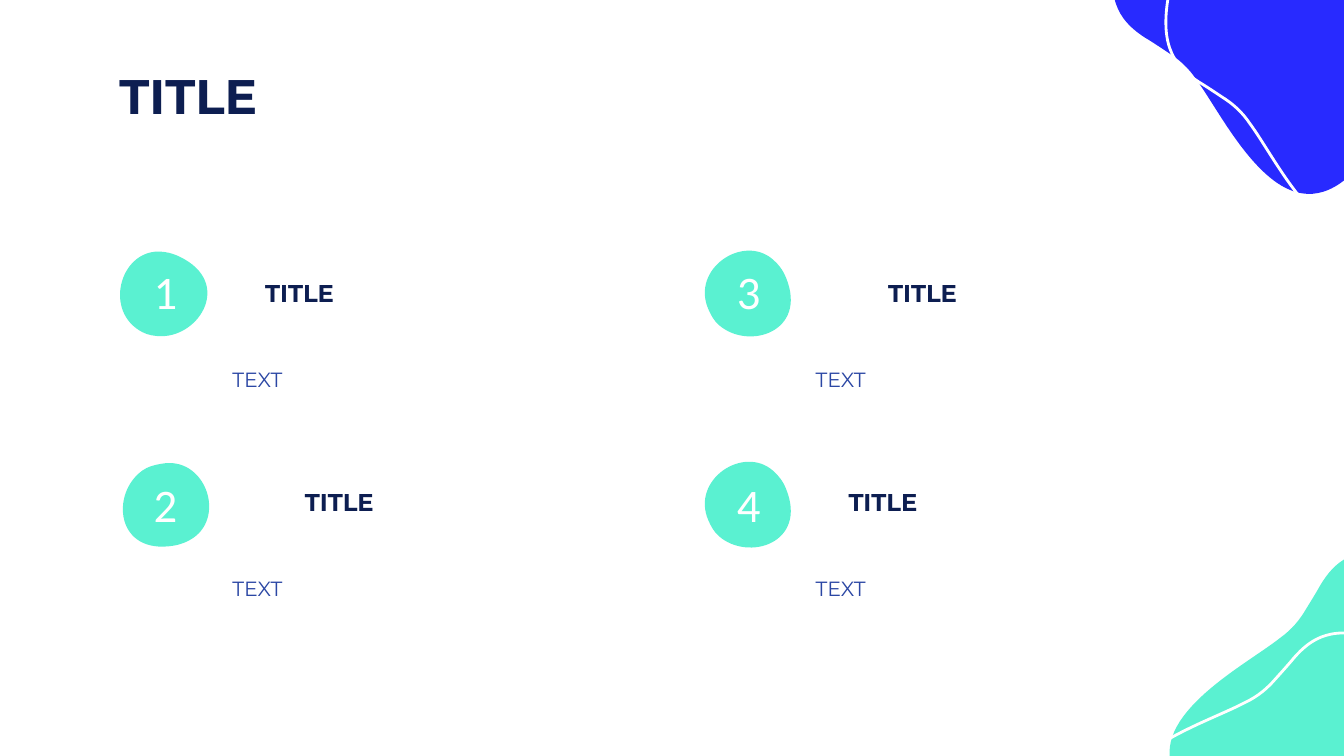
import math

import pptx
import pptx.dml.color
import pptx.enum.text
import pptx.oxml
import pptx.oxml.ns
import pptx.util

Pt = pptx.util.Pt
qn = pptx.oxml.ns.qn
ALIGN = pptx.enum.text.PP_ALIGN
ANCHOR = pptx.enum.text.MSO_ANCHOR

NAVY, INDIGO, BLUE, MINT, WHITE = "0D1E51", "2B47A4", "282AFF", "5AF1D1", "FFFFFF"

TITLE_FONT = {"name": "Montserrat", "size": Pt(26), "bold": True}
CARD_FONT = {"name": "Montserrat", "size": Pt(13), "bold": True}
BODY_FONT = {"name": "Montserrat", "size": Pt(11)}
NUMBER_FONT = {"name": "Calibri", "size": Pt(25)}

# Outlines on a grid of 0.72 pt: box, angle at which the points are given,
# start point, cubic curves
GRID = 0.72
WAVE = ((796, -79, 271, 183), 214, (950, 136), [
    (969, 149, 991, 149, 1015, 119), (1072, 49, 1017, -34, 989, -58),
    (985, -62, 981, -65, 977, -67), (919, -106, 840, -94, 829, -34),
    (823, 3, 835, 17, 852, 28), (857, 31, 863, 35, 869, 39),
    (877, 44, 884, 50, 890, 59), (904, 78, 924, 118, 950, 136)])
RING = ((953, 110, 370, 318), 164.7, (1207, 415), [
    (1163, 427, 1111, 411, 1103, 361), (1100, 347, 1087, 340, 1075, 343),
    (1028, 354, 978, 329, 957, 286), (944, 259, 944, 224, 960, 198),
    (971, 178, 990, 164, 1010, 152), (1038, 136, 1067, 124, 1098, 115),
    (1112, 112, 1126, 109, 1140, 106), (1182, 99, 1229, 99, 1264, 124),
    (1283, 137, 1298, 156, 1305, 178), (1307, 184, 1308, 190, 1309, 196),
    (1314, 225, 1307, 255, 1291, 280), (1285, 288, 1278, 297, 1275, 307),
    (1271, 324, 1277, 341, 1270, 358), (1264, 375, 1252, 391, 1237, 401),
    (1228, 408, 1218, 412, 1207, 415)])
DOT = ((940, 160, 18, 18), 60.8, (956, 164), [
    (958, 169, 957, 174, 953, 176), (948, 179, 943, 177, 941, 173),
    (938, 169, 940, 163, 944, 161), (948, 159, 954, 160, 956, 164)])
SMALL_DOT = ((920, 145, 14, 12), 60.8, (931, 147), [
    (934, 151, 930, 157, 924, 155), (923, 155, 922, 154, 921, 153),
    (919, 150, 920, 146, 923, 144), (926, 143, 930, 144, 931, 147)])
PEBBLE_1 = ((77, 187, 96, 63), 0, (118, 187), [
    (89, 187, 77, 232, 106, 247), (110, 249.1, 115, 250, 120, 250),
    (149, 250, 173, 210, 134, 191), (128.2, 188.2, 123, 187, 118, 187)])
PEBBLE_2 = ((72, 347, 96, 63), 144.3, (144, 400), [
    (168, 383, 152, 339, 120, 345), (114, 346.1, 110, 347.2, 106, 350),
    (82, 367, 86, 413, 129, 406), (135, 405, 140, 402.8, 144, 400)])
PEBBLE_3 = ((511, 190, 97, 63), 41.2, (575, 193), [
    (553, 174, 514, 200, 527, 230), (529, 234.6, 531.2, 238.7, 535, 242),
    (557, 261, 601, 247, 585, 207), (582.6, 201, 579.2, 196.6, 575, 193)])


def color(value):
    return pptx.dml.color.RGBColor.from_string(value)


def set_all(obj, values):
    for name, value in values.items():
        setattr(obj, name, value)


def upright_points(outline):
    """Turn the points back to angle 0, in EMU from the box corner."""
    (left, top, width, height), angle, start, curves = outline
    cos, sin = math.cos(math.radians(angle)), math.sin(math.radians(angle))
    points = [start] + [c[i:i + 2] for c in curves for i in (0, 2, 4)]
    result = []
    for x, y in points:
        dx, dy = x - left - width / 2, y - top - height / 2
        result.append((Pt(GRID * (width / 2 + dx * cos + dy * sin)),
                       Pt(GRID * (height / 2 - dx * sin + dy * cos))))
    return result


def add_blob(s, outline, left, top, turn, fill=None):
    """Curved outline in a turned box: filled, or as a white line."""
    points = upright_points(outline)
    builder = s.shapes.build_freeform(*points[0])
    builder.add_line_segments(points[1:], close=True)
    sp = builder.convert_to_shape()
    width, height = (Pt(GRID * v) for v in outline[0][2:])
    set_all(sp, {"left": Pt(left), "top": Pt(top), "width": width,
                 "height": height, "rotation": turn})

    # Each three line segments become one cubic curve
    geom = next(sp._element.iter(qn("a:path")))
    geom.set("w", str(width))
    geom.set("h", str(height))
    for pt, (x, y) in zip(list(geom.iter(qn("a:pt"))), points):
        pt.set("x", str(x))
        pt.set("y", str(y))
    lines = geom.findall(qn("a:lnTo"))
    for i in range(0, len(lines), 3):
        curve = geom.makeelement(qn("a:cubicBezTo"))
        lines[i].addprevious(curve)
        for line in lines[i:i + 3]:
            curve.append(line[0])
            geom.remove(line)

    sp.shadow.inherit = False
    if fill:
        sp.fill.solid()
        sp.fill.fore_color.rgb = color(fill)
        sp.line.fill.background()
    else:
        sp.fill.background()
        sp.line.color.rgb = color(WHITE)
        sp.line.width = Pt(1.5)


def add_text(s, box, text, font, rgb, frame=None, para=None):
    sp = s.shapes.add_textbox(*(Pt(v) for v in box))
    tf = sp.text_frame
    insets = {f"margin_{side}": Pt(7.2) for side in ("left", "top", "right", "bottom")}
    set_all(tf, {"word_wrap": True, **insets, **(frame or {})})
    p = tf.paragraphs[0]
    set_all(p, para or {})
    r = p.add_run()
    r.text = text
    set_all(r.font, font)
    r.font.color.rgb = color(rgb)


def add_corner(s, left, top, parts):
    """Decoration whose parts are placed from the corner of its wave."""
    for outline, dx, dy, turn, fill in parts:
        add_blob(s, outline, left + dx, top + dy, turn, fill)


def add_card(s, box, number, pebble, shift, right_inset, drop):
    """Numbered badge at the left, heading above the text."""
    left, top, width, height = box
    row = 45.36
    add_text(s, (left, top, width, row), "TITLE", CARD_FONT, NAVY,
             {"vertical_anchor": ANCHOR.MIDDLE, "margin_right": Pt(right_inset)},
             {"alignment": ALIGN.CENTER})
    add_text(s, (left, top + height - row, width, row), "TEXT", BODY_FONT, INDIGO,
             para={"space_after": Pt(16)})
    add_blob(s, pebble, left + shift[0], top + shift[1], pebble[1], MINT)
    add_text(s, (left - 55, top + drop, 52.56, 35.28), number, NUMBER_FONT, WHITE,
             {"vertical_anchor": ANCHOR.MIDDLE}, {"alignment": ALIGN.CENTER})


def main():
    prs = pptx.Presentation()
    prs.slide_width, prs.slide_height = Pt(720), Pt(405)
    s = prs.slides.add_slide(prs.slide_layouts[6])

    # Corner decoration
    add_corner(s, 573.12, -56.88, [
        (WAVE, 0, 0, 214, BLUE), (DOT, 103.68, 172.08, 60.8, WHITE),
        (SMALL_DOT, 89.28, 161.28, 60.8, WHITE), (WAVE, 28.8, 23.76, 214, None),
        (RING, 113.04, 136.08, 164.7, None)])
    add_corner(s, 622.8, 304.56, [
        (WAVE, 0, 0, 302.1, MINT), (SMALL_DOT, 83.52, -61.2, 156.8, WHITE),
        (SMALL_DOT, -15.84, 83.52, 156.8, WHITE), (WAVE, -24.48, 40.32, 312.4, None)])

    # Slide title
    add_text(s, (56.88, 28.08, 524.88, 48.24), "TITLE", TITLE_FONT, NAVY)

    # Cards, numbered down each column
    cards = [(PEBBLE_1, (-61.92, 0.6), 85), (PEBBLE_2, (-65.52, 3.6), 42.5),
             (PEBBLE_3, (-61.92, 2.6), 42.5), (PEBBLE_3, (-61.92, 3.6), 85)]
    for i, (pebble, shift, right_inset) in enumerate(cards):
        col, row = divmod(i, 2)
        box = (117.36 + col * 312.48, 134.2 + row * 112.1, 164.16, 101)
        add_card(s, box, str(i + 1), pebble, shift, right_inset, 4.1 + row * 1.9)

    prs.save("out.pptx")


if __name__ == "__main__":
    main()
